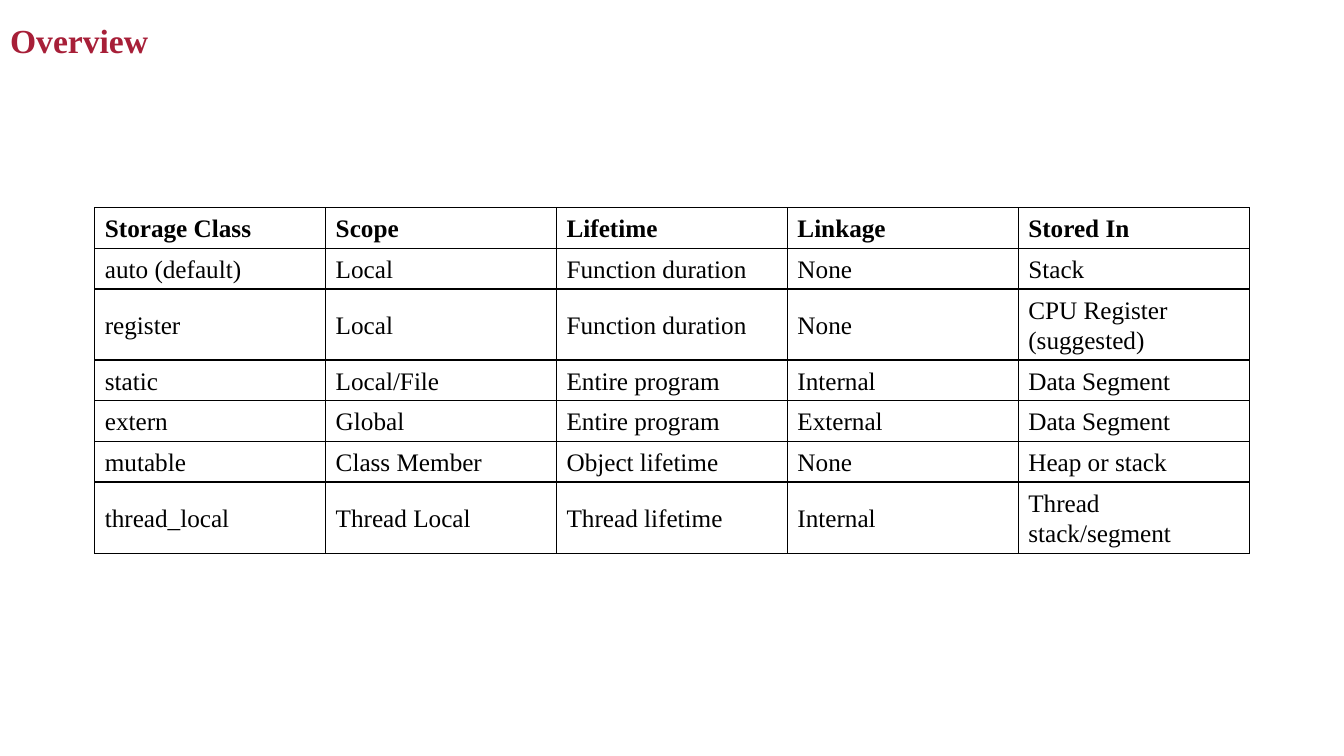
from pptx import Presentation
from pptx.dml.color import RGBColor
from pptx.enum.text import MSO_ANCHOR as Anchor, PP_ALIGN as Align
from pptx.oxml import parse_xml
from pptx.oxml.ns import nsdecls
from pptx.util import Emu, Pt

PX = 9144
PAGE_SIZE = (1333, 750)
TITLE_BOX = (0, 16, 677, 53)
TABLE_BOX = (94, 206, 1145, 342)
ROW_HEIGHTS = (40, 40, 70, 40, 40, 40, 70)
FONT = "Times New Roman"
CRIMSON = RGBColor(0xA7, 0x1F, 0x38)
BLACK = RGBColor(0x00, 0x00, 0x00)

STORAGE_CLASSES = (
    ("Storage Class", "Scope", "Lifetime", "Linkage", "Stored In"),
    ("auto (default)", "Local", "Function duration", "None", "Stack"),
    ("register", "Local", "Function duration", "None", "CPU Register (suggested)"),
    ("static", "Local/File", "Entire program", "Internal", "Data Segment"),
    ("extern", "Global", "Entire program", "External", "Data Segment"),
    ("mutable", "Class Member", "Object lifetime", "None", "Heap or stack"),
    ("thread_local", "Thread Local", "Thread lifetime", "Internal", "Thread stack/segment"),
)


def px(length):
    """Turn px into EMU."""
    return Emu(length * PX)


def assign(target, **values):
    """Set each given attribute on the target."""
    for name, value in values.items():
        setattr(target, name, value)


def write(frame, text, size, color, bold, spacing):
    """Write one left-aligned paragraph into a text frame."""
    para = frame.paragraphs[0]
    assign(para, alignment=Align.LEFT, line_spacing=spacing)
    span = para.add_run()
    span.text = text
    assign(span.font, name=FONT, size=Pt(size), bold=bold)
    span.font.color.rgb = color


def outline(cell):
    """Draw a one-point line on all four sides of a cell."""
    properties = cell._tc.get_or_add_tcPr()
    for side in ("lnL", "lnR", "lnT", "lnB"):
        properties.append(parse_xml(
            f'<a:{side} {nsdecls("a")} w="{Pt(1)}"><a:solidFill>'
            f'<a:srgbClr val="{BLACK}"/></a:solidFill></a:{side}>'))
    cell.fill.background()


def place_title(page, box, text):
    """Move and format the title placeholder."""
    title = page.shapes.title
    left, top, width, height = map(px, box)
    assign(title, left=left, top=top, width=width, height=height)
    frame = title.text_frame
    assign(frame, vertical_anchor=Anchor.MIDDLE, word_wrap=True,
           margin_left=px(10), margin_right=px(10),
           margin_top=px(10), margin_bottom=px(10))
    write(frame, text, 24, CRIMSON, True, 0.9)


def place_table(page, box, rows):
    """Place the bordered table with equal columns in its box."""
    columns = len(rows[0])
    table = page.shapes.add_table(len(rows), columns, *map(px, box)).table
    assign(table, first_row=False, horz_banding=False)
    for column in table.columns:
        column.width = px(box[2] // columns)
    for index, (row, height, texts) in enumerate(zip(table.rows, ROW_HEIGHTS, rows)):
        row.height = px(height)
        for cell, text in zip(row.cells, texts):
            outline(cell)
            cell.vertical_anchor = Anchor.MIDDLE
            write(cell.text_frame, text, 18, BLACK, index == 0, Pt(21.8))


def main():
    """Build the deck and save it."""
    deck = Presentation()
    width, height = map(px, PAGE_SIZE)
    assign(deck, slide_width=width, slide_height=height)
    page = deck.slides.add_slide(deck.slide_layouts.get_by_name("Title Only"))
    place_title(page, TITLE_BOX, "Overview")
    place_table(page, TABLE_BOX, STORAGE_CLASSES)
    deck.save("out.pptx")


if __name__ == "__main__":
    main()
